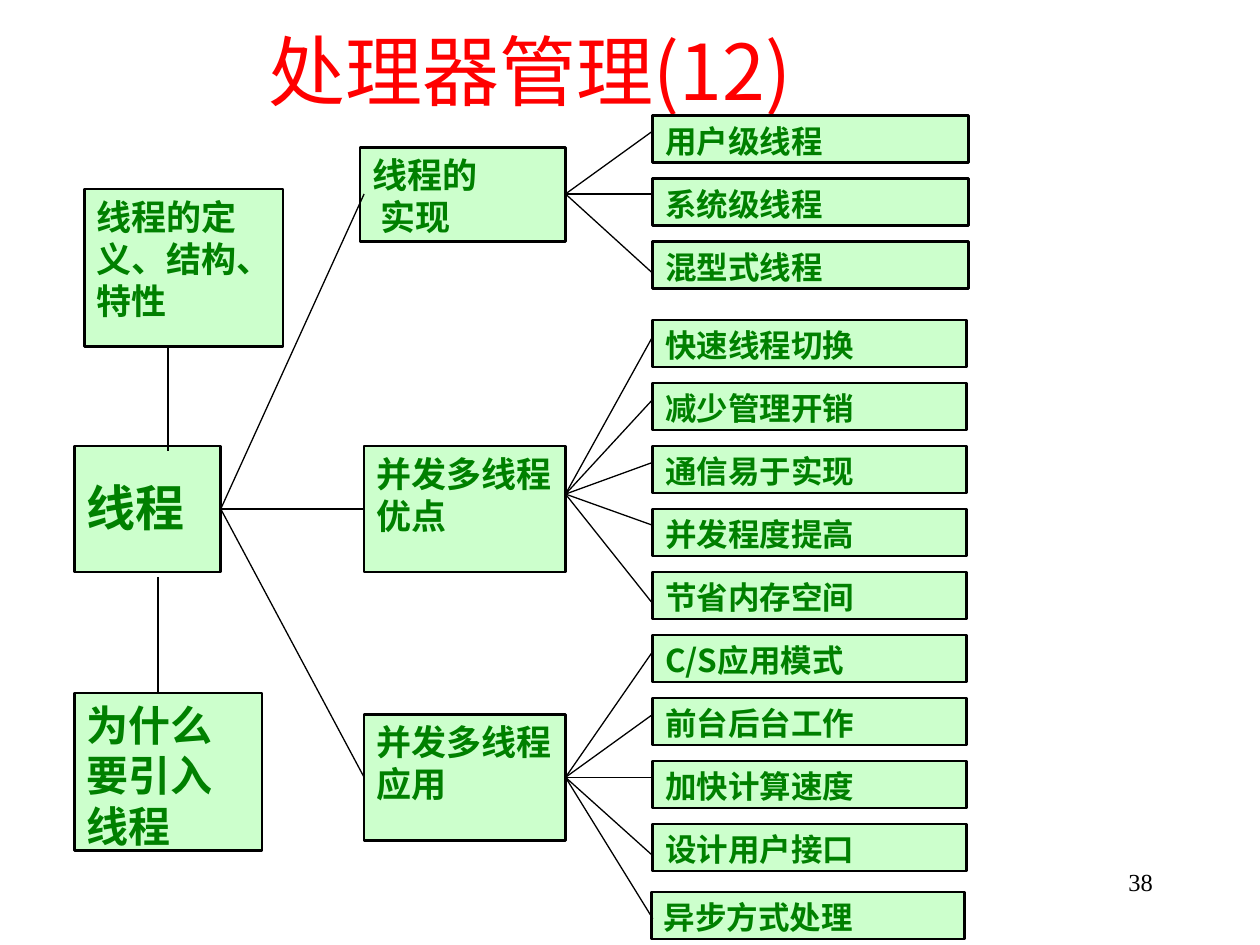
from dataclasses import dataclass

from lxml.etree import SubElement
from pptx import Presentation
from pptx.dml.color import RGBColor
from pptx.enum.shapes import MSO_CONNECTOR, MSO_SHAPE
from pptx.enum.text import MSO_ANCHOR, PP_ALIGN
from pptx.oxml.ns import qn
from pptx.util import Cm, Pt

RED = RGBColor(0xFF, 0x00, 0x00)
GREEN = RGBColor(0x00, 0x80, 0x00)
MINT = RGBColor(0xCC, 0xFF, 0xCC)
BLACK = RGBColor(0x00, 0x00, 0x00)
CJK = "Noto Sans CJK SC"
SERIF = "Times New Roman"

LEAF_LEFT, LEAF_PITCH = 13.16, 1.27
ROOT_EDGE, BRANCH_LEFT, BRANCH_EDGE = 4.45, 7.34, 11.4
ROOT_Y = 10.26


@dataclass(frozen=True)
class Topic:
    text: str
    left: float
    top: float
    width: float
    height: float
    size: float = 20
    inset_top: float = 0.13


@dataclass(frozen=True)
class Branch:
    topic: Topic
    entry_y: float
    hub_y: float
    first_top: float
    leaf_width: float
    leaves: tuple[str, ...]
    leaf_ties: tuple[float, ...]


@dataclass(frozen=True)
class Caption:
    text: str
    left: float
    top: float
    width: float
    height: float
    size: float
    face: str
    color: RGBColor
    align: PP_ALIGN
    anchor: MSO_ANCHOR


BRANCHES = (
    Branch(Topic("线程的\n 实现", 7.26, 2.97, 4.14, 1.9),
           3.91, 3.91, 2.33, 6.37,
           ("用户级线程", "系统级线程", "混型式线程"),
           (2.64, 3.91, 5.51)),
    Branch(Topic("并发多线程优点", BRANCH_LEFT, 8.99, 4.06, 2.54),
           ROOT_Y, 9.96, 6.45, 6.32,
           ("快速线程切换", "减少管理开销", "通信易于实现", "并发程度提高", "节省内存空间"),
           (6.78, 8.05, 9.32, 10.59, 12.17)),
    Branch(Topic("并发多线程应用", BRANCH_LEFT, 14.4, 4.06, 2.54),
           15.67, 15.67, 12.8, 6.32,
           ("C/S应用模式", "前台后台工作", "加快计算速度", "设计用户接口"),
           (13.13, 14.4, 15.67, 17.25, 18.52)),
)
ROOT = Topic("线程", 1.5, 8.99, 2.95, 2.54, 28, 0.64)
ASYNC_LEAF = Topic("异步方式处理", 13.13, 17.98, 6.32, 0.95, 18)
REASON = Topic("为什么要引入线程", 1.5, 13.97, 3.78, 3.18, 24)
DEFINITION = Topic("线程的定义、结构、特性", 1.7, 3.81, 4.01, 3.18)
TITLE = Caption("处理器管理(12)", 0.2, 0.36, 20.96, 2.1, 44, CJK, RED,
                PP_ALIGN.CENTER, MSO_ANCHOR.MIDDLE)
PAGE_NUMBER = Caption("38", 18.21, 17.35, 5.28, 1.27, 14, SERIF, BLACK,
                      PP_ALIGN.RIGHT, MSO_ANCHOR.TOP)


def apply(target, values: dict) -> None:
    for attribute, value in values.items():
        setattr(target, attribute, value)


def write(frame, text: str, face: str, size: float, color: RGBColor,
          bold: bool, align: PP_ALIGN, frame_format: dict) -> None:
    apply(frame, {"word_wrap": True, **frame_format})
    frame.text = text
    for paragraph in frame.paragraphs:
        paragraph.alignment = align
        for run in paragraph.runs:
            apply(run.font, {"name": face, "size": Pt(size), "bold": bold})
            run.font.color.rgb = color
            SubElement(run.font._element, qn("a:ea"), typeface=face)


def draw_topic(slide, topic: Topic) -> None:
    box = slide.shapes.add_shape(MSO_SHAPE.RECTANGLE, Cm(topic.left), Cm(topic.top),
                                 Cm(topic.width), Cm(topic.height))
    box.shadow.inherit = False
    box.fill.solid()
    box.fill.fore_color.rgb = MINT
    box.line.color.rgb = BLACK
    box.line.width = Pt(1.5)
    write(box.text_frame, topic.text, CJK, topic.size, GREEN, True, PP_ALIGN.LEFT,
          {"vertical_anchor": MSO_ANCHOR.TOP, "margin_top": Cm(topic.inset_top)})


def draw_caption(slide, caption: Caption) -> None:
    box = slide.shapes.add_textbox(Cm(caption.left), Cm(caption.top),
                                   Cm(caption.width), Cm(caption.height))
    write(box.text_frame, caption.text, caption.face, caption.size, caption.color,
          False, caption.align, {"vertical_anchor": caption.anchor})


def draw_tie(slide, x1: float, y1: float, x2: float, y2: float,
             weight: float = 0.75) -> None:
    tie = slide.shapes.add_connector(MSO_CONNECTOR.STRAIGHT,
                                     Cm(x1), Cm(y1), Cm(x2), Cm(y2))
    tie.line.color.rgb = BLACK
    tie.line.width = Pt(weight)
    SubElement(tie._element.spPr, qn("a:effectLst"))


def draw_branch_topics(slide, branch: Branch) -> None:
    draw_topic(slide, branch.topic)
    for row, leaf in enumerate(branch.leaves):
        top = branch.first_top + row * LEAF_PITCH
        draw_topic(slide, Topic(leaf, LEAF_LEFT, top, branch.leaf_width, 0.95, 18))


def draw_branch_ties(slide, branch: Branch) -> None:
    draw_tie(slide, ROOT_EDGE, ROOT_Y, BRANCH_LEFT, branch.entry_y)
    for leaf_y in branch.leaf_ties:
        draw_tie(slide, BRANCH_EDGE, branch.hub_y, LEAF_LEFT, leaf_y)


def main() -> None:
    deck = Presentation()
    apply(deck, {"slide_width": Cm(25.4), "slide_height": Cm(19.05)})
    slide = deck.slides.add_slide(deck.slide_layouts[6])

    draw_caption(slide, TITLE)
    draw_topic(slide, ROOT)
    for branch in BRANCHES:
        draw_branch_topics(slide, branch)
    draw_topic(slide, ASYNC_LEAF)
    for branch in BRANCHES:
        draw_branch_ties(slide, branch)
    draw_topic(slide, REASON)
    draw_topic(slide, DEFINITION)
    draw_tie(slide, 3.18, 11.63, 3.18, 13.97, 1)
    draw_tie(slide, 3.38, 9.09, 3.38, 6.99, 1)
    draw_caption(slide, PAGE_NUMBER)

    deck.save("out.pptx")


if __name__ == "__main__":
    main()
